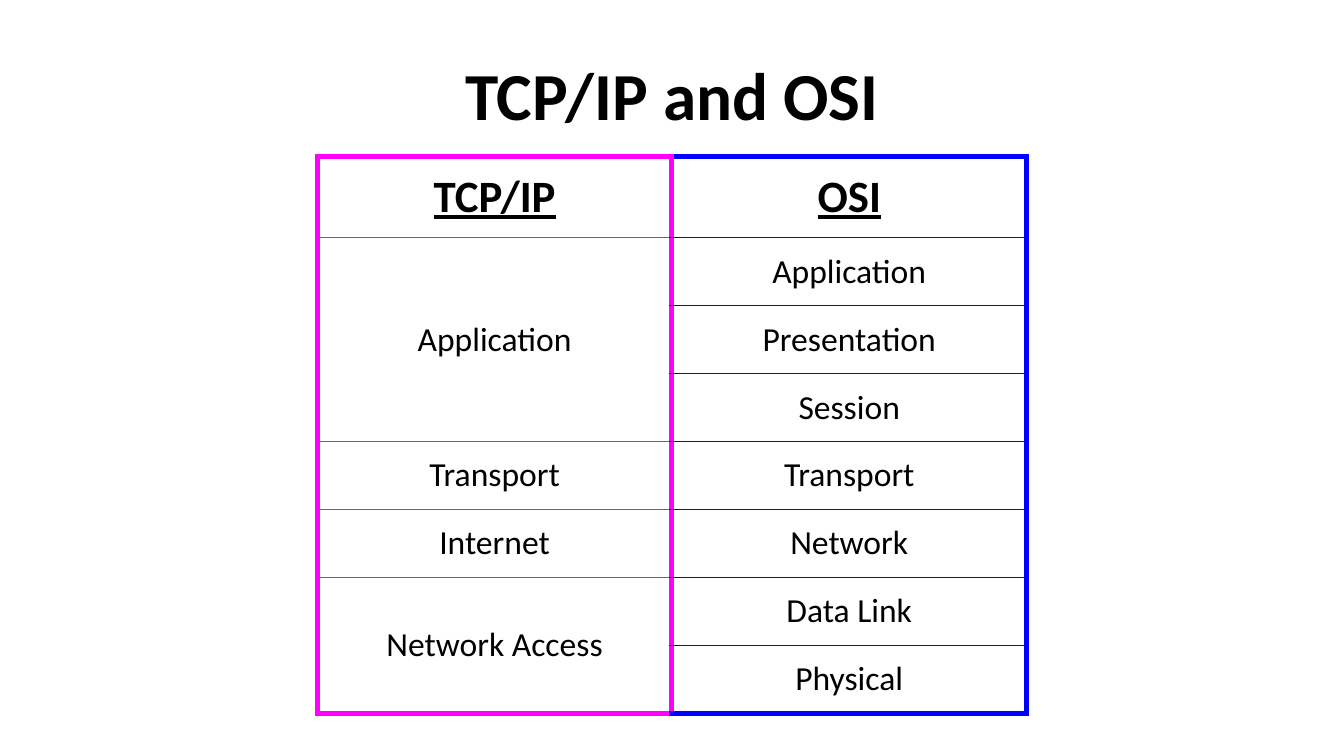
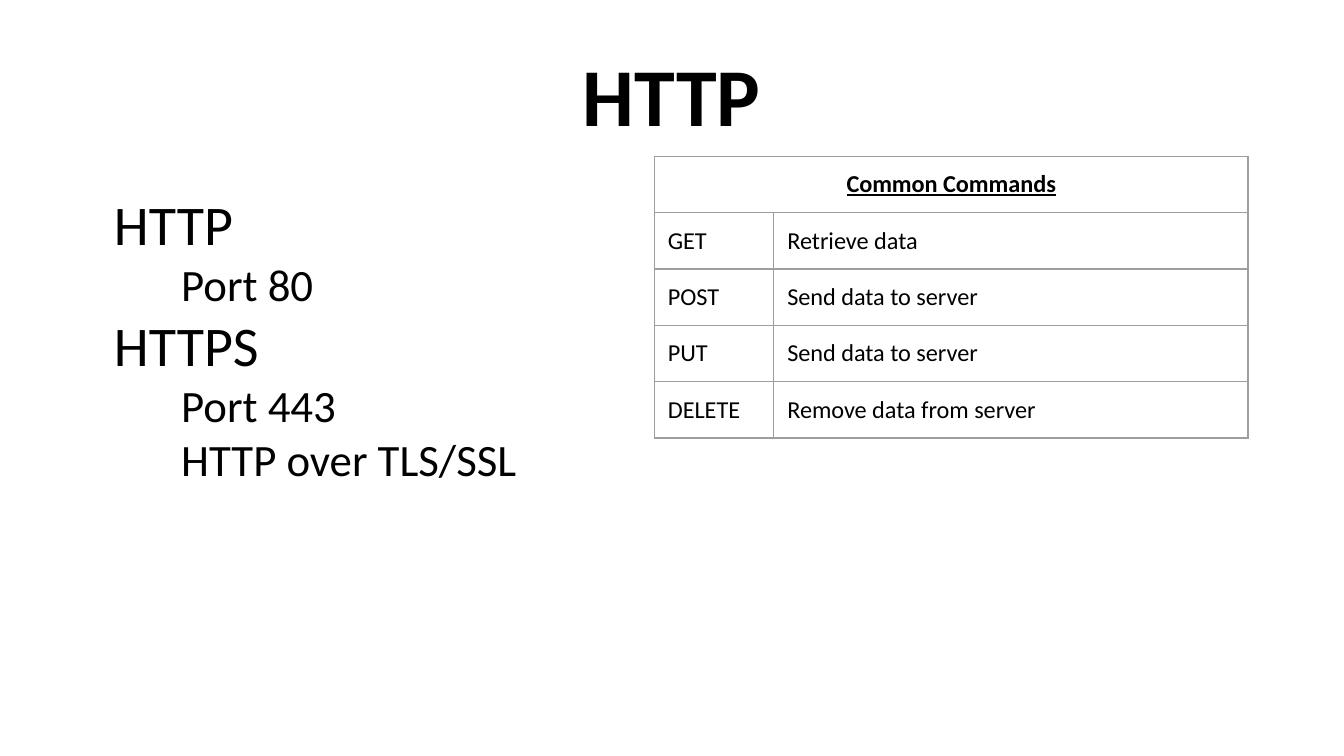
import pptx
import pptx.util
import pptx.dml.color
import pptx.enum.text
import pptx.oxml
import pptx.oxml.ns

Pt = pptx.util.Pt
ALIGN = pptx.enum.text.PP_ALIGN
ANCHOR = pptx.enum.text.MSO_ANCHOR
FONT = "Calibri"
COLORS = {"text": "000000", "tcp": "FF00FF", "osi": "0000FF", "grid": "9E9E9E"}
THIN, THICK = 0.75, 3
INSET = 7.2
TABLE_TOP = 83.7


class Deck:
    def __init__(self):
        self.prs = pptx.Presentation()
        self.prs.slide_width, self.prs.slide_height = Pt(720), Pt(405)
        self.s = None

    def slide(self):
        self.s = self.prs.slides.add_slide(self.prs.slide_layouts[6])

    def run(self, p, text, size, bold=False, underline=False):
        r = p.add_run()
        r.text = text
        f = r.font
        f.name, f.size, f.bold, f.underline = FONT, Pt(size), bold, underline
        f.color.rgb = pptx.dml.color.RGBColor.from_string(COLORS["text"])

    def inset(self, target):
        target.margin_left = target.margin_right = Pt(INSET)
        target.margin_top = target.margin_bottom = Pt(INSET)

    def box(self, x, y, w, h, anchor):
        tf = self.s.shapes.add_textbox(Pt(x), Pt(y), Pt(w), Pt(h)).text_frame
        tf.word_wrap = True
        tf.vertical_anchor = anchor
        self.inset(tf)
        return tf

    def title(self, text, size, anchor):
        p = self.box(36, 16.4, 648, 67.4, anchor).paragraphs[0]
        p.alignment = ALIGN.CENTER
        self.run(p, text, size, bold=True)

    def outline(self, x, y, w, h, items):
        tf = self.box(x, y, w, h, ANCHOR.TOP)
        for i, (level, text) in enumerate(items):
            p = tf.paragraphs[0] if i == 0 else tf.add_paragraph()
            p.level = level
            pPr = p._p.get_or_add_pPr()
            pPr.set("marL", str(Pt(36 * (level + 1))))
            pPr.set("indent", str(Pt(-18)))
            self.run(p, text, 24 if level else 30)

    def table(self, x, y, widths, heights):
        frame = self.s.shapes.add_table(len(heights), len(widths), Pt(x), Pt(y),
                                        Pt(sum(widths)), Pt(sum(heights)))
        t = frame.table
        t.first_row = t.horz_banding = False
        for col, w in zip(t.columns, widths):
            col.width = Pt(w)
        for row, h in zip(t.rows, heights):
            row.height = Pt(h)
        return t

    def cell(self, cell, text, size, borders, align=None, anchor=ANCHOR.TOP, header=False):
        self.inset(cell)
        cell.vertical_anchor = anchor
        tcPr = cell._tc.get_or_add_tcPr()
        for side in "LRTB":
            if side in borders:
                color, width = borders[side]
                tcPr.append(pptx.oxml.parse_xml(
                    f'<a:ln{side} {pptx.oxml.ns.nsdecls("a")} w="{Pt(width)}">'
                    f'<a:solidFill><a:srgbClr val="{COLORS[color]}"/></a:solidFill>'
                    f'</a:ln{side}>'))
        cell.fill.background()
        if text:
            p = cell.text_frame.paragraphs[0]
            p.alignment = align
            self.run(p, text, size, bold=header, underline=header)


def layers_slide(d):
    d.slide()
    d.title("TCP/IP and OSI", 36, ANCHOR.MIDDLE)
    rows = [("TCP/IP", "OSI"), ("Application", "Application"), ("", "Presentation"),
            ("", "Session"), ("Transport", "Transport"), ("Internet", "Network"),
            ("Network Access", "Data Link"), ("", "Physical")]
    last = len(rows) - 1
    t = d.table(170, TABLE_TOP, [190, 190], [43.6] + [36.4] * last)
    for first, end in ((1, 3), (6, 7)):
        t.cell(first, 0).merge(t.cell(end, 0))
    for i, row in enumerate(rows):
        for j, (text, color) in enumerate(zip(row, ("tcp", "osi"))):
            borders = {"L": ("tcp", THICK), "R": (color, THICK)}
            if text:
                borders["T"] = (color, THICK if i == 0 else THIN)
            end = i + (t.cell(i, j).span_height if t.cell(i, j).is_merge_origin else 1) - 1
            if text or end == last:
                borders["B"] = (color, THICK if end == last else THIN)
            d.cell(t.cell(i, j), text, 24 if i == 0 else 18, borders,
                   ALIGN.CENTER, ANCHOR.MIDDLE, header=i == 0)


def http_slide(d):
    d.slide()
    d.outline(36, 94.3, 314.6, 293, [(0, "HTTP"), (1, "Port 80"), (0, "HTTPS"),
                                     (1, "Port 443"), (1, "HTTP over TLS/SSL")])
    d.title("HTTP", 44, ANCHOR.BOTTOM)
    rows = [("Common Commands", ""), ("GET", "Retrieve data"),
            ("POST", "Send data to server"), ("PUT", "Send data to server"),
            ("DELETE", "Remove data from server")]
    t = d.table(350.6, TABLE_TOP, [64, 254], [30.2] * len(rows))
    t.cell(0, 0).merge(t.cell(0, 1))
    borders = dict.fromkeys("LRTB", ("grid", THIN))
    for i, row in enumerate(rows):
        for j, text in enumerate(row):
            d.cell(t.cell(i, j), text, 13, borders,
                   ALIGN.CENTER if i == 0 else ALIGN.LEFT, header=i == 0)


def main():
    d = Deck()
    layers_slide(d)
    http_slide(d)
    d.prs.save("out.pptx")


if __name__ == "__main__":
    main()
